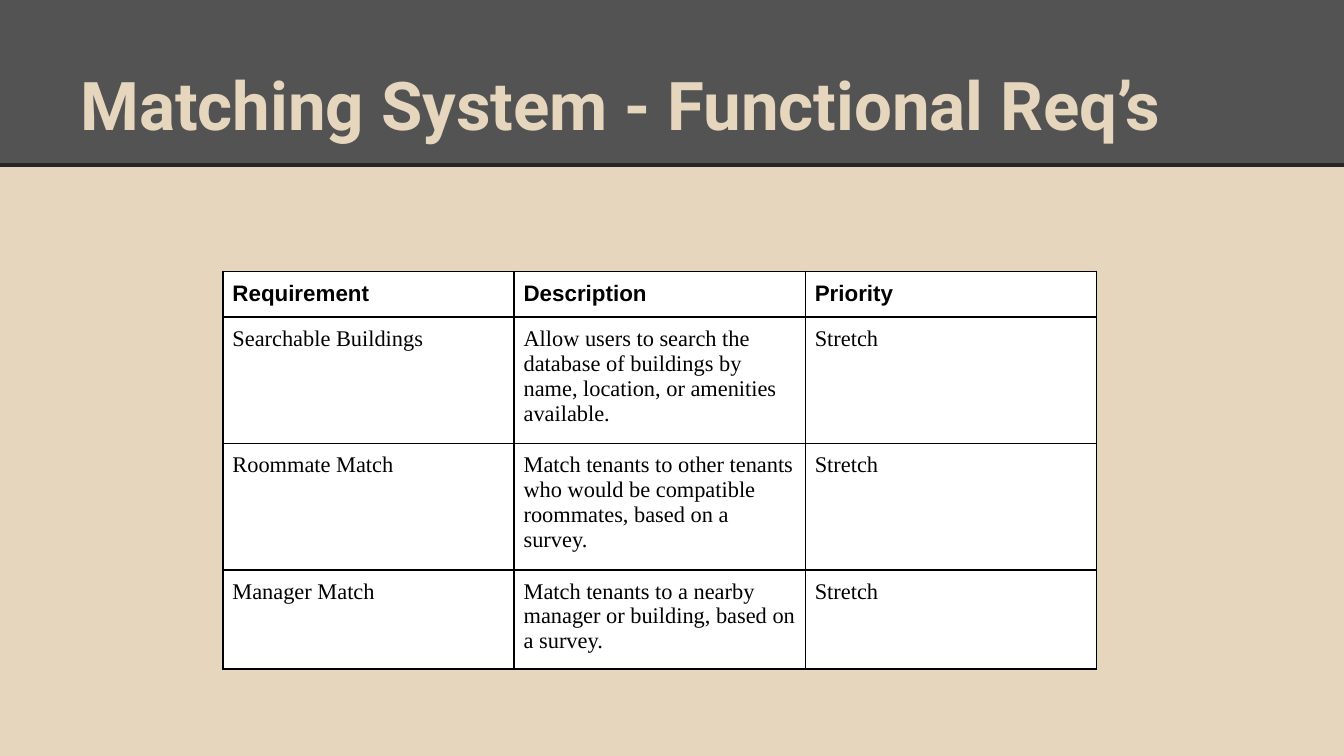
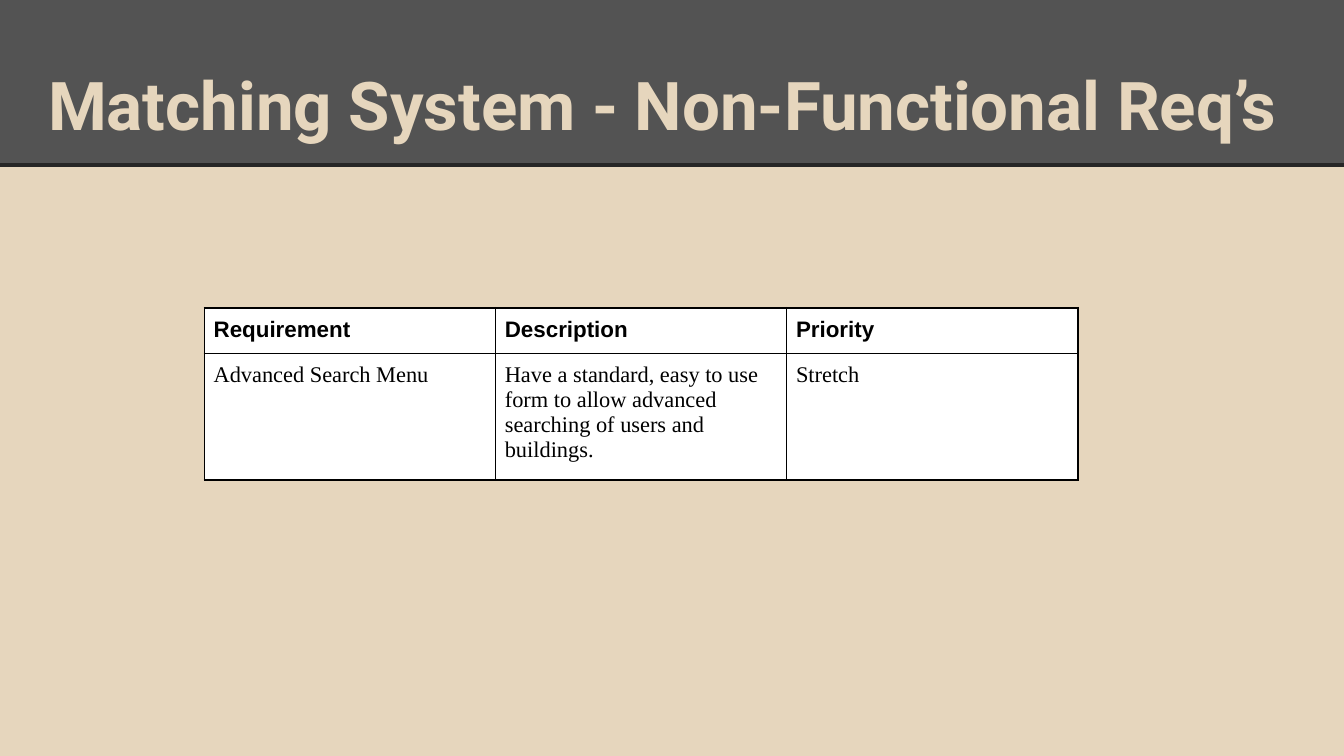
from pptx import Presentation
from pptx.dml.color import RGBColor as Rgb
from pptx.enum.shapes import MSO_CONNECTOR as Link, MSO_SHAPE as Shape
from pptx.enum.text import MSO_ANCHOR as Anchor
from pptx.oxml.ns import qn
from pptx.util import Inches, Pt
from lxml.etree import SubElement as Sub

INK = {"sand": "E6D6BD", "band": "535353", "rule": "262626",
       "text": "000000", "cell": "FFFFFF"}
WIDTH, HEIGHT, BAND = 10, 10 * 9 / 16, 1.23
SPAN, ROW, PAD = 6.5, 0.64, 0.07
HEAD = ("Requirement", "Description", "Priority")


class Deck:
    def __init__(self):
        self.show = Presentation()
        self.show.slide_width = Inches(WIDTH)
        self.show.slide_height = Inches(HEIGHT)

    def paint(self, fill, ink):
        fill.solid()
        fill.fore_color.rgb = Rgb.from_string(INK[ink])

    def style(self, frame, font, size, ink, bold):
        for run in frame.paragraphs[0].runs:
            run.font.name = font
            run.font.size = Pt(size)
            run.font.bold = bold
            run.font.color.rgb = Rgb.from_string(INK[ink])

    def page(self):
        """Start a slide with the shared background, band and rule."""
        self.slide = self.show.slides.add_slide(self.show.slide_layouts[6])
        self.paint(self.slide.background.fill, "sand")
        shapes = self.slide.shapes
        band = shapes.add_shape(Shape.RECTANGLE, 0, 0, Inches(WIDTH), Inches(BAND))
        band.shadow.inherit = False
        self.paint(band.fill, "band")
        band.line.fill.background()
        rule = shapes.add_connector(Link.STRAIGHT, 0, Inches(BAND),
                                    Inches(WIDTH), Inches(BAND))
        rule.line.color.rgb = Rgb.from_string(INK["rule"])
        rule.line.width = Pt(2.25)
        Sub(rule._element.spPr, qn("a:effectLst"))

    def title(self, text, left, width):
        box = self.slide.shapes.add_textbox(Inches(left), Inches(0.23),
                                            Inches(width), Inches(0.94))
        frame = box.text_frame
        frame.word_wrap = True
        frame.vertical_anchor = Anchor.BOTTOM
        frame.margin_left = frame.margin_right = Inches(0.1)
        frame.margin_top = frame.margin_bottom = Inches(0.1)
        frame.text = text
        self.style(frame, "Roboto", 36, "sand", True)

    def border(self, cell):
        """Put the four edges ahead of the cell's fill, as the schema asks."""
        props = cell._tc.get_or_add_tcPr()
        for place, side in enumerate(("lnL", "lnR", "lnT", "lnB")):
            edge = Sub(props, qn(f"a:{side}"), w=str(Pt(1)))
            fill = Sub(edge, qn("a:solidFill"))
            Sub(fill, qn("a:srgbClr"), val=INK["text"])
            props.insert(place, edge)

    def table(self, left, top, rows):
        """Draw the header and rows; the text sets how tall each row is."""
        rows = [HEAD, *rows]
        tall = Inches(ROW * len(rows))
        holder = self.slide.shapes.add_table(
            len(rows), len(HEAD), Inches(left), Inches(top),
            Inches(SPAN), tall)
        grid = holder.table
        grid.horz_banding = False
        for r, texts in enumerate(rows):
            grid.rows[r].height = 0
            for c, text in enumerate(texts):
                self.cell(grid.cell(r, c), text, r == 0)
        holder.height = tall

    def cell(self, cell, text, head):
        cell.margin_left = cell.margin_right = Inches(PAD)
        cell.margin_top = cell.margin_bottom = Inches(PAD)
        cell.text_frame.text = text
        self.style(cell.text_frame, "Arial" if head else "Times New Roman",
                   12, "text", head)
        self.paint(cell.fill, "cell")
        self.border(cell)


def main():
    deck = Deck()

    deck.page()
    deck.title("Matching System - Functional Req’s", 0.5, 9)
    deck.table(1.66, 2.02, [
        ("Searchable Buildings",
         "Allow users to search the database of buildings by name, "
         "location, or amenities available.", "Stretch"),
        ("Roommate Match",
         "Match tenants to other tenants who would be compatible "
         "roommates, based on a survey.", "Stretch"),
        ("Manager Match",
         "Match tenants to a nearby manager or building, based on "
         "a survey.", "Stretch"),
    ])

    deck.page()
    deck.title("Matching System - Non-Functional Req’s", 0.26, 9.6)
    deck.table(1.52, 2.29, [
        ("Advanced Search Menu",
         "Have a standard, easy to use form to allow advanced "
         "searching of users and buildings.", "Stretch"),
    ])

    deck.show.save("out.pptx")


if __name__ == "__main__":
    main()
